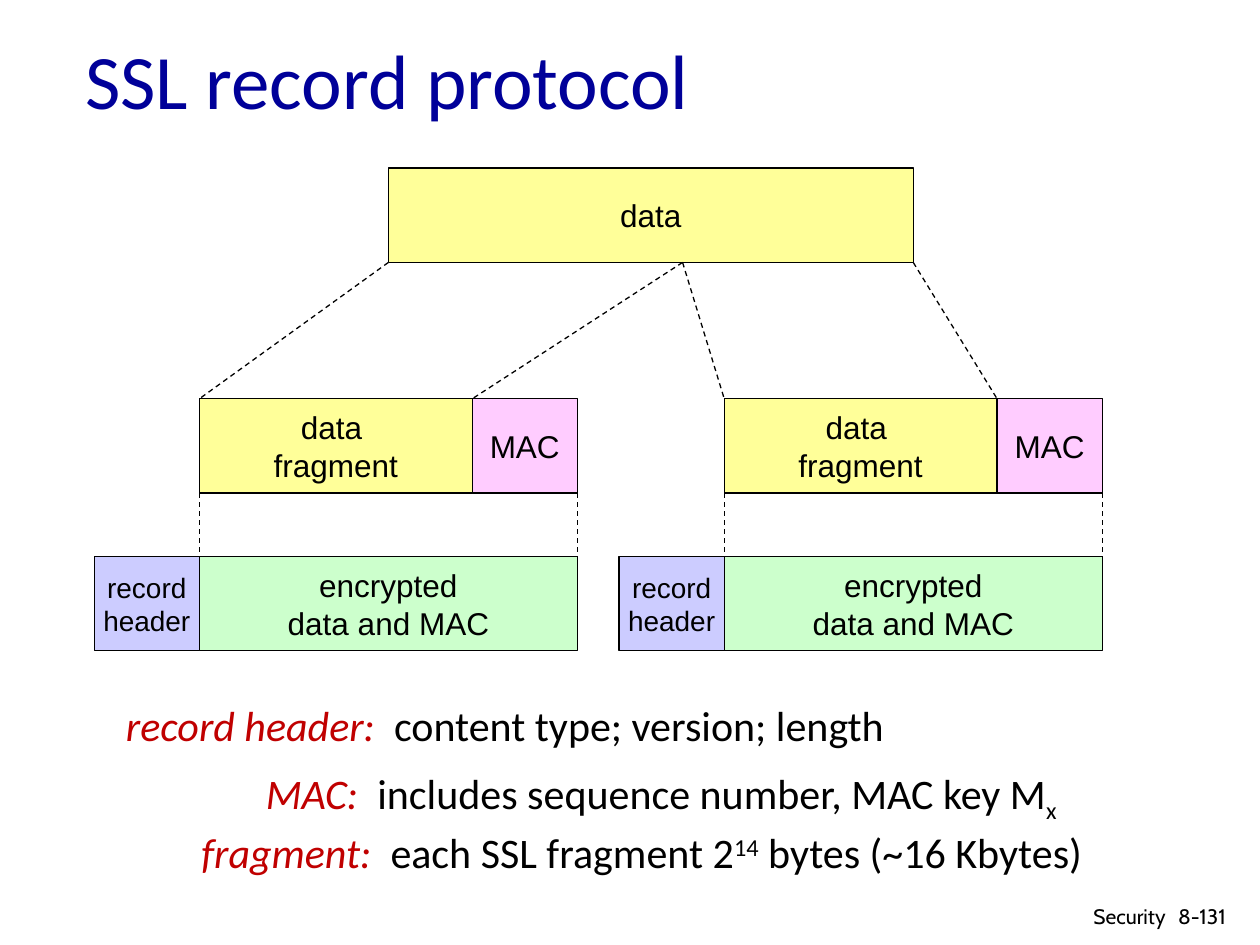
"""Builds the slide on the SSL record protocol."""
from dataclasses import dataclass

from lxml import etree
from pptx import Presentation
from pptx.dml.color import RGBColor
from pptx.enum import dml, shapes, text
from pptx.oxml.ns import qn
from pptx.util import Cm, Pt

COLORS = {
    "title": "000099",
    "term": "C00000",
    "ink": "000000",
    "data": "FFFF99",
    "mac": "FFCCFF",
    "encrypted": "CCFFCC",
    "header": "CCCCFF",
}
BOX_HEIGHT = 1.9
SMALL_WIDTH = 2.12
RECORD_STEP = 10.58
DATA_LEFT, DATA_TOP, DATA_WIDTH = 7.83, 3.39, 10.58
SPLIT_X = 13.76
FRAGMENT_LEFT, FRAGMENT_TOP, FRAGMENT_WIDTH = 4.02, 8.04, 5.5
RECORD_TOP = 11.22


@dataclass(frozen=True)
class Box:
    left: float
    top: float
    width: float
    label: str
    fill: str
    size: int = 18


@dataclass(frozen=True)
class Piece:
    words: str
    color: str = "ink"
    italic: bool = False
    baseline: int = 0


@dataclass(frozen=True)
class Caption:
    left: float
    top: float
    width: float
    height: float
    pieces: tuple[Piece, ...]
    size: int = 24
    font: str = "Calibri"
    wrap: bool = False
    align: text.PP_ALIGN = text.PP_ALIGN.LEFT
    anchor: text.MSO_ANCHOR = text.MSO_ANCHOR.TOP


def rgb(name: str) -> RGBColor:
    """Return the named colour."""
    return RGBColor.from_string(COLORS[name])


def style_font(font, name: str, size: int, color: str) -> None:
    """Set the face, size and colour of a font."""
    font.name, font.size = name, Pt(size)
    font.color.rgb = rgb(color)


def draw_box(slide, box: Box) -> None:
    """Draw an outlined rectangle with a centred label."""
    shape = slide.shapes.add_shape(
        shapes.MSO_SHAPE.RECTANGLE,
        Cm(box.left), Cm(box.top), Cm(box.width), Cm(BOX_HEIGHT),
    )
    shape.shadow.inherit = False
    shape.fill.solid()
    shape.fill.fore_color.rgb = rgb(box.fill)
    shape.line.color.rgb = rgb("ink")
    shape.line.width = Pt(0.75)
    frame = shape.text_frame
    frame.text = box.label
    frame.word_wrap = False
    frame.vertical_anchor = text.MSO_ANCHOR.MIDDLE
    for paragraph in frame.paragraphs:
        paragraph.alignment = text.PP_ALIGN.CENTER
        for run in paragraph.runs:
            style_font(run.font, "Arial", box.size, "ink")


def draw_dashed_line(slide, x1: float, y1: float, x2: float, y2: float) -> None:
    """Draw a thin dashed line between two points."""
    line = slide.shapes.add_connector(
        shapes.MSO_CONNECTOR.STRAIGHT, Cm(x1), Cm(y1), Cm(x2), Cm(y2)
    )
    line.line.color.rgb = rgb("ink")
    line.line.width = Pt(0.75)
    line.line.dash_style = dml.MSO_LINE.DASH
    etree.SubElement(line._element.spPr, qn("a:effectLst"))


def draw_caption(slide, caption: Caption) -> None:
    """Draw a text box made of differently styled pieces."""
    shape = slide.shapes.add_textbox(
        Cm(caption.left), Cm(caption.top), Cm(caption.width), Cm(caption.height)
    )
    frame = shape.text_frame
    frame.word_wrap = caption.wrap
    frame.vertical_anchor = caption.anchor
    if not caption.wrap:
        frame.auto_size = text.MSO_AUTO_SIZE.SHAPE_TO_FIT_TEXT
    paragraph = frame.paragraphs[0]
    paragraph.alignment = caption.align
    for piece in caption.pieces:
        run = paragraph.add_run()
        run.text = piece.words
        style_font(run.font, caption.font, caption.size, piece.color)
        run.font.italic = piece.italic
        if piece.baseline:
            run.font._element.set("baseline", str(piece.baseline * 1000))


def draw_record(slide, shift: float, source_left: float, source_right: float) -> None:
    """Draw one fragment with its MAC, its encrypted record and its guides."""
    left = FRAGMENT_LEFT + shift
    mac_left = left + FRAGMENT_WIDTH
    right = mac_left + SMALL_WIDTH
    for box in (
        Box(left, FRAGMENT_TOP, FRAGMENT_WIDTH, "data \nfragment", "data"),
        Box(mac_left, FRAGMENT_TOP, SMALL_WIDTH, "MAC", "mac"),
        Box(left, RECORD_TOP, right - left, "encrypted\ndata and MAC", "encrypted"),
        Box(left - SMALL_WIDTH, RECORD_TOP, SMALL_WIDTH, "record\nheader", "header", 16),
    ):
        draw_box(slide, box)
    for x in (left, right):
        draw_dashed_line(slide, x, FRAGMENT_TOP + BOX_HEIGHT, x, RECORD_TOP)
    for source, target in ((source_left, left), (source_right, mac_left)):
        draw_dashed_line(slide, source, DATA_TOP + BOX_HEIGHT, target, FRAGMENT_TOP)


def term(words: str) -> Piece:
    """Return a red italic term with its gap."""
    return Piece(f"{words}:  ", "term", True)


CAPTIONS = (
    Caption(1.47, 0, 21.59, 3.18, (Piece("SSL record protocol", "title"),), 44,
            wrap=True, anchor=text.MSO_ANCHOR.MIDDLE),
    Caption(2.29, 13.97, 15.8, 1.3,
            (term("record header"), Piece("content type; version; length"))),
    Caption(5.11, 15.34, 16.46, 1.3,
            (term("MAC"), Piece("includes sequence number, MAC key M"),
             Piece("x", baseline=-25))),
    Caption(3.81, 16.54, 18.26, 1.3,
            (term("fragment"), Piece("each SSL fragment 2"),
             Piece("14", baseline=30), Piece(" bytes (~16 Kbytes)"))),
    Caption(23.5, 18.08, 1.9, 0.76, (Piece("8-131"),), 12, "Cabin", True),
    Caption(21.74, 18.08, 2.01, 0.71, (Piece("Security"),), 12, "Cabin", True,
            text.PP_ALIGN.RIGHT),
)


def main() -> None:
    """Build and save the presentation."""
    presentation = Presentation()
    presentation.slide_width, presentation.slide_height = Cm(25.4), Cm(19.05)
    slide = presentation.slides.add_slide(presentation.slide_layouts[6])
    draw_box(slide, Box(DATA_LEFT, DATA_TOP, DATA_WIDTH, "data", "data"))
    draw_record(slide, 0, DATA_LEFT, SPLIT_X)
    draw_record(slide, RECORD_STEP, SPLIT_X, DATA_LEFT + DATA_WIDTH)
    for caption in CAPTIONS:
        draw_caption(slide, caption)
    presentation.save("out.pptx")


if __name__ == "__main__":
    main()
